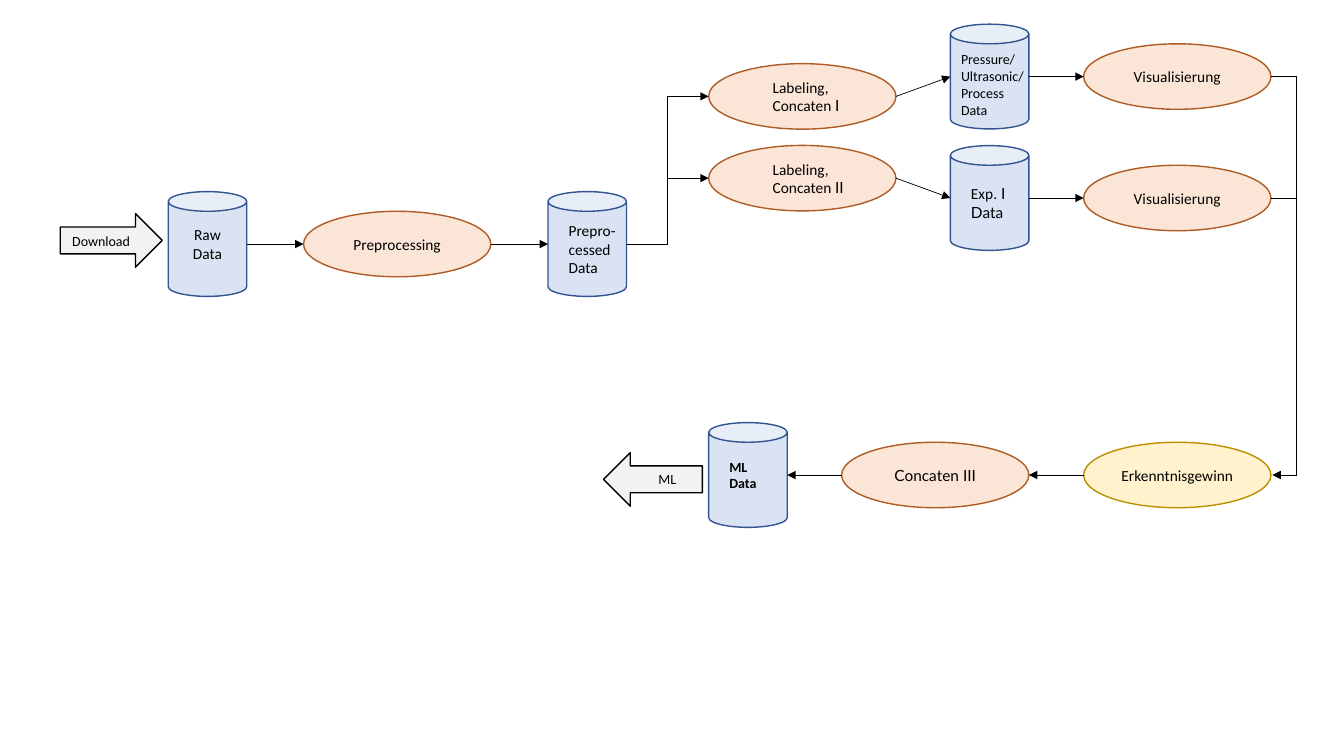
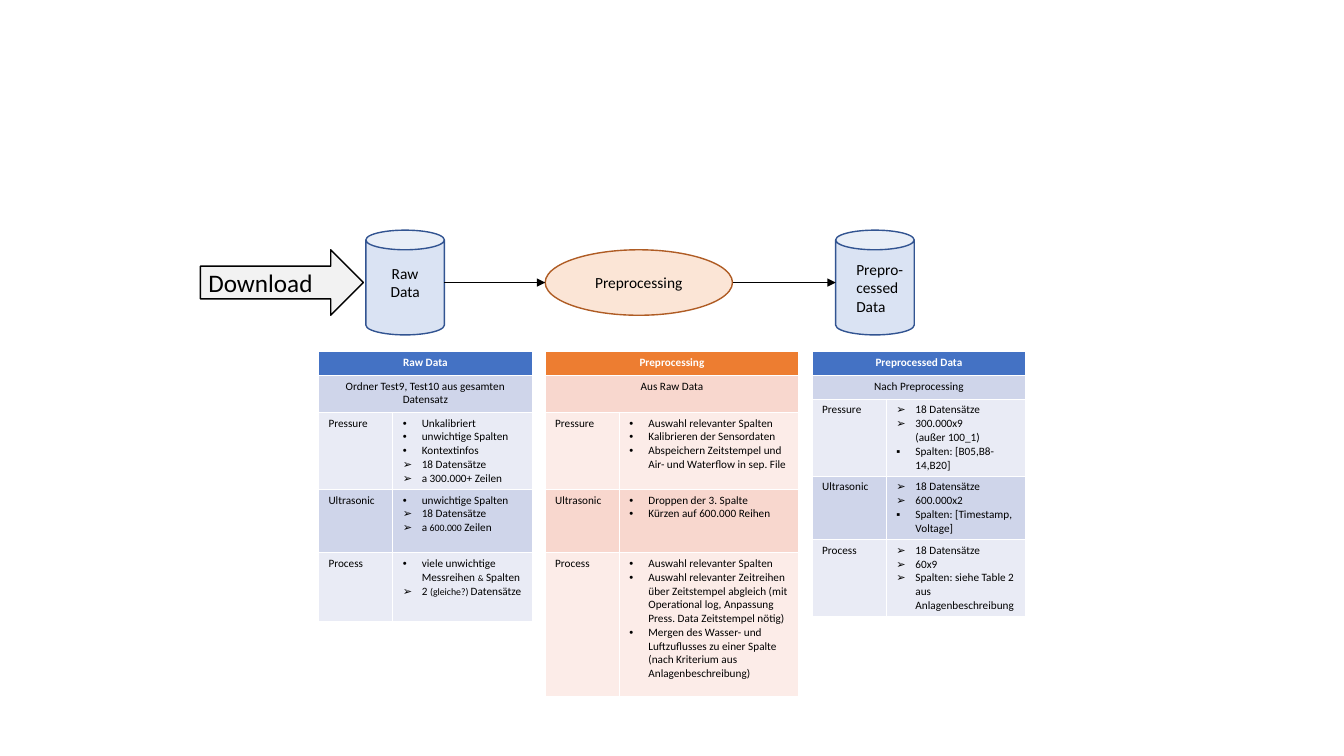
from lxml import etree
from pptx import Presentation
from pptx.dml.color import RGBColor
from pptx.enum.shapes import MSO_CONNECTOR, MSO_SHAPE
from pptx.enum.text import MSO_ANCHOR, PP_ALIGN
from pptx.oxml.ns import qn
from pptx.util import Cm, Pt

LEFT, CENTER, RIGHT = PP_ALIGN.LEFT, PP_ALIGN.CENTER, PP_ALIGN.RIGHT
MIDDLE = MSO_ANCHOR.MIDDLE
STRAIGHT, ELBOW = MSO_CONNECTOR.STRAIGHT, MSO_CONNECTOR.ELBOW

FONT, ALT_FONT = "Calibri", "Lato"
COLORS = {
    "black": "000000", "white": "FFFFFF",
    "data": "DAE3F3", "data_line": "325491",
    "step": "FBE5D6", "step_line": "AF5C24",
    "gain": "FFF2CC", "gain_line": "BD8E00",
    "arrow": "F2F2F2",
    "blue_head": "4472C4", "blue_dark": "CFD5EA", "blue_light": "E9EBF5",
    "orange_head": "ED7D31", "orange_dark": "F8D7CE", "orange_light": "FCECE8",
}

# Node kinds: preset, width, height (cm), fill, line
KINDS = {
    "data": (MSO_SHAPE.CAN, 1.98, 2.64, "data", "data_line"),
    "step": (MSO_SHAPE.OVAL, 4.72, 1.65, "step", "step_line"),
    "gain": (MSO_SHAPE.OVAL, 4.72, 1.65, "gain", "gain_line"),
    "in": (MSO_SHAPE.RIGHT_ARROW, 2.57, 1.35, "arrow", "black"),
    "out": (MSO_SHAPE.LEFT_ARROW, 2.49, 1.35, "arrow", "black"),
    "big_in": (MSO_SHAPE.RIGHT_ARROW, 4.11, 1.65, "arrow", "black"),
}

# Label formats: alignment, size, bold, insets left, top, right, bottom (cm)
LABELS = {
    "center": (CENTER, 11, False, (0, 0, 0, 0)),
    "raw": (CENTER, 11, False, (0, 0, 0, 0.25)),
    "left": (LEFT, 11, False, (0.52, 0, 0, 0)),
    "labeling": (LEFT, 11, False, (0.92, 0, 0, 0)),
    "small": (LEFT, 10, False, (0.27, 0.15, 0, 0)),
    "bold": (LEFT, 10, True, (0.52, 0, 0, 0.25)),
    "in": (LEFT, 10, False, (0.3, 0, 0, 0)),
    "out": (RIGHT, 10, False, (0, 0, 0.66, 0)),
    "big": (LEFT, 18, False, (0.2, 0, 0, 0)),
}

# Text parts: a paragraph is a string or a list of (text, format) runs
ALT = {"font": ALT_FONT}
RAW, PREPROCESSED = ["Raw", "Data"], ["Prepro-cessed", "Data"]

# Slide 1: name -> kind, left, middle height (cm), label format, paragraphs
PIPELINE = {
    "download": ("in", 1.52, 6.06, "in", ["Download"]),
    "raw": ("data", 4.24, 6.15, "raw", RAW),
    "preprocessing": ("step", 7.65, 6.15, "center", ["Preprocessing"]),
    "preprocessed": ("data", 13.81, 6.15, "left", PREPROCESSED),
    "label1": ("step", 17.86, 2.43, "labeling",
               [[("Labeling, Concaten ", {}), ("I", ALT)]]),
    "label2": ("step", 17.86, 4.49, "labeling",
               [[("Labeling, Concaten ", {}), ("II", ALT)]]),
    "sensors": ("data", 23.95, 1.93, "small",
                ["Pressure/", "Ultrasonic/", "Process", "Data"]),
    "exp": ("data", 23.95, 4.99, "left",
            [[("Exp.", {}), (" I", ALT)], [("Data", ALT)]]),
    "visual1": ("step", 27.31, 1.93, "center", ["Visualisierung"]),
    "visual2": ("step", 27.31, 4.99, "center", ["Visualisierung"]),
    "insight": ("gain", 27.31, 11.97, "center", ["Erkenntnisgewinn"]),
    "concat3": ("step", 21.21, 11.97, "center", [[("Concaten III", ALT)]]),
    "ml_data": ("data", 17.86, 11.97, "bold", ["ML", "Data"]),
    "ml": ("out", 15.21, 12.08, "out", ["ML"]),
}
PIPELINE_LINKS = [
    ("raw", "preprocessing"), ("preprocessing", "preprocessed"),
    ("preprocessed", "label1"), ("preprocessed", "label2"),
    ("label1", "sensors"), ("label2", "exp"),
    ("sensors", "visual1"), ("exp", "visual2"),
    ("visual1", "insight"), ("visual2", "insight"),
    ("insight", "concat3"), ("concat3", "ml_data"),
]
BENT_FROM = {"preprocessed", "visual1", "visual2"}
RETURN_BEND, RETURN_GAP = 0.64, 0.04

# Slide 2
DETAIL = {
    "raw": ("data", 9.22, 7.12, "raw", RAW),
    "preprocessing": ("step", 13.74, 7.12, "center", ["Preprocessing"]),
    "preprocessed": ("data", 21.06, 7.12, "left", PREPROCESSED),
    "download": ("big_in", 5.05, 7.12, "big", ["Download"]),
}
DETAIL_LINKS = PIPELINE_LINKS[:2]

# Tables: bullet and text for every line; widths and heights in cm
ROW_NAMES = ["Pressure", "Ultrasonic", "Process"]
DOT, TIP, BOX, PLAIN = "•", "➢", "▪", ""
TABLE_TOP = 8.86
TABLES = [
    {"left": 8.03, "cols": (1.87, 3.51), "heights": (0.6, 0.93, 1.94, 1.6, 1.73),
     "palette": "blue", "title": "Raw Data",
     "subtitle": "Ordner Test9, Test10 aus gesamten Datensatz",
     "rows": [
         [(DOT, "Unkalibriert"), (DOT, "unwichtige Spalten"), (DOT, "Kontextinfos"),
          (TIP, "18 Datensätze"), (TIP, "a 300.000+ Zeilen")],
         [(DOT, "unwichtige Spalten"), (TIP, "18 Datensätze"),
          (TIP, [("a ", {}), ("600.000", {"size": 7}), (" Zeilen", {})])],
         [(DOT, [("viele unwichtige Messreihen ", {}), ("&", {"size": 6}),
                 (" Spalten", {})]),
          (TIP, [("2 ", {}), ("(gleiche?) ", {"size": 7}), ("Datensätze", {})])],
     ]},
    {"left": 13.74, "cols": (1.87, 4.52), "heights": (0.6, 0.93, 1.94, 1.6, 3.63),
     "palette": "orange", "title": "Preprocessing", "subtitle": "Aus Raw Data",
     "rows": [
         [(DOT, "Auswahl relevanter Spalten"), (DOT, "Kalibrieren der Sensordaten"),
          (DOT, "Abspeichern Zeitstempel und Air- und Waterflow in sep. File")],
         [(DOT, "Droppen der 3. Spalte"), (DOT, "Kürzen auf 600.000 Reihen")],
         [(DOT, "Auswahl relevanter Spalten"),
          (DOT, "Auswahl relevanter Zeitreihen über Zeitstempel abgleich (mit "
                "Operational log, Anpassung Press. Data Zeitstempel nötig)"),
          (DOT, "Mergen des Wasser- und Luftzuflusses zu einer Spalte "
                "(nach Kriterium aus Anlagenbeschreibung)")],
     ]},
    {"left": 20.47, "cols": (1.87, 3.51), "heights": (0.6, 0.6, 1.94, 1.6, 1.94),
     "palette": "blue", "title": "Preprocessed Data", "subtitle": "Nach Preprocessing",
     "rows": [
         [(TIP, "18 Datensätze"), (TIP, "300.000x9"), (PLAIN, "(außer 100_1)"),
          (BOX, "Spalten: [B05,B8-14,B20]")],
         [(TIP, "18 Datensätze"), (TIP, "600.000x2"),
          (BOX, "Spalten: [Timestamp, Voltage]")],
         [(TIP, "18 Datensätze"), (TIP, "60x9"),
          (TIP, "Spalten: siehe Table 2 aus Anlagenbeschreibung")],
     ]},
]


def rgb(name):
    return RGBColor.from_string(COLORS[name])


def write(tf, paragraphs, size, align=LEFT, color="black", bold=False):
    """Fill a text frame; returns its paragraphs."""
    for i, content in enumerate(paragraphs):
        p = tf.paragraphs[0] if i == 0 else tf.add_paragraph()
        p.alignment = align
        p.font.name, p.font.size, p.font.bold = FONT, Pt(size), bold
        p.font.color.rgb = rgb(color)
        for text, fmt in [(content, {})] if isinstance(content, str) else content:
            r = p.add_run()
            r.text = text
            if "font" in fmt:
                r.font.name = fmt["font"]
            if "size" in fmt:
                r.font.size = Pt(fmt["size"])
    return tf.paragraphs


def set_margins(target, margins):
    (target.margin_left, target.margin_top,
     target.margin_right, target.margin_bottom) = [Cm(m) for m in margins]


def add_node(slide, kind, left, mid, label, paragraphs):
    preset, w, h, fill, line = KINDS[kind]
    sp = slide.shapes.add_shape(preset, Cm(left), Cm(mid - h / 2), Cm(w), Cm(h))
    sp.shadow.inherit = False
    sp.fill.solid()
    sp.fill.fore_color.rgb = rgb(fill)
    sp.line.color.rgb = rgb(line)
    sp.line.width = Pt(1)
    align, size, bold, margins = LABELS[label]
    tf = sp.text_frame
    tf.word_wrap = True
    tf.vertical_anchor = MIDDLE
    set_margins(tf, margins)
    write(tf, paragraphs, size, align, bold=bold)


def add_arrow(slide, x1, y1, x2, y2, bend=None):
    """Arrow between two points; bend is the x of the elbow's middle part."""
    cxn = slide.shapes.add_connector(STRAIGHT if bend is None else ELBOW,
                                     Cm(x1), Cm(y1), Cm(x2), Cm(y2))
    cxn.line.color.rgb = rgb("black")
    cxn.line.width = Pt(0.5)
    sp_pr = cxn._element.spPr
    etree.SubElement(sp_pr.find(qn("a:ln")), qn("a:tailEnd"), type="triangle")
    etree.SubElement(sp_pr, qn("a:effectLst"))
    if bend is not None:
        geom = sp_pr.find(qn("a:prstGeom"))
        guides = geom.find(qn("a:avLst"))
        if guides is None:
            guides = etree.SubElement(geom, qn("a:avLst"))
        ratio = round(100000 * (bend - x1) / (x2 - x1))
        etree.SubElement(guides, qn("a:gd"), name="adj1", fmla=f"val {ratio}")


def add_flow(slide, nodes, links):
    for node in nodes.values():
        add_node(slide, *node)
    for source, target in links:
        (kind1, left1, y1), (kind2, left2, y2) = nodes[source][:3], nodes[target][:3]
        right1, right2 = left1 + KINDS[kind1][1], left2 + KINDS[kind2][1]
        if left1 == left2:  # return path around the right side
            add_arrow(slide, right1, y1, right2 + RETURN_GAP, y2, right1 + RETURN_BEND)
        elif left2 < left1:
            add_arrow(slide, left1, y1, right2, y2)
        else:
            bend = (right1 + left2) / 2 if source in BENT_FROM else None
            add_arrow(slide, right1, y1, left2, y2, bend)


def set_bullet(p, bullet):
    ppr = p._p.get_or_add_pPr()
    ppr.set("marL", str(Cm(0.48)))
    ppr.set("indent", str(-Cm(0.48) if bullet else 0))
    if bullet:
        font = etree.Element(qn("a:buFont"), typeface="Arial")
        char = etree.Element(qn("a:buChar"), char=bullet)
        ppr.insert(0, font)
        font.addnext(char)


def fill_cell(cell, fill, paragraphs, **fmt):
    cell.fill.solid()
    cell.fill.fore_color.rgb = rgb(fill)
    set_margins(cell, (0.25, 0.1, 0.25, 0.1))
    return write(cell.text_frame, paragraphs, 8, **fmt)


def add_detail_table(slide, spec):
    cols, heights, palette = spec["cols"], spec["heights"], spec["palette"]
    table = slide.shapes.add_table(len(heights), len(cols), Cm(spec["left"]), Cm(TABLE_TOP),
                                   Cm(sum(cols)), Cm(sum(heights))).table
    for col, w in zip(table.columns, cols):
        col.width = Cm(w)
    for row, h in zip(table.rows, heights):
        row.height = Cm(h)
    # Title rows across both columns
    for i in range(2):
        table.cell(i, 0).merge(table.cell(i, 1))
    fill_cell(table.cell(0, 0), f"{palette}_head", [spec["title"]],
              align=CENTER, color="white", bold=True)
    fill_cell(table.cell(1, 0), f"{palette}_dark", [spec["subtitle"]], align=CENTER)
    # Body rows in alternating shades
    for i, (name, items) in enumerate(zip(ROW_NAMES, spec["rows"])):
        shade = f"{palette}_{'dark' if i % 2 else 'light'}"
        fill_cell(table.cell(i + 2, 0), shade, [name])
        lines = fill_cell(table.cell(i + 2, 1), shade, [text for _, text in items])
        for p, (bullet, _) in zip(lines, items):
            set_bullet(p, bullet)


def main():
    prs = Presentation()
    prs.slide_width, prs.slide_height = Cm(33.87), Cm(19.05)
    blank = prs.slide_layouts[6]

    add_flow(prs.slides.add_slide(blank), PIPELINE, PIPELINE_LINKS)

    slide = prs.slides.add_slide(blank)
    add_flow(slide, DETAIL, DETAIL_LINKS)
    for spec in TABLES:
        add_detail_table(slide, spec)

    prs.save("out.pptx")


if __name__ == "__main__":
    main()
